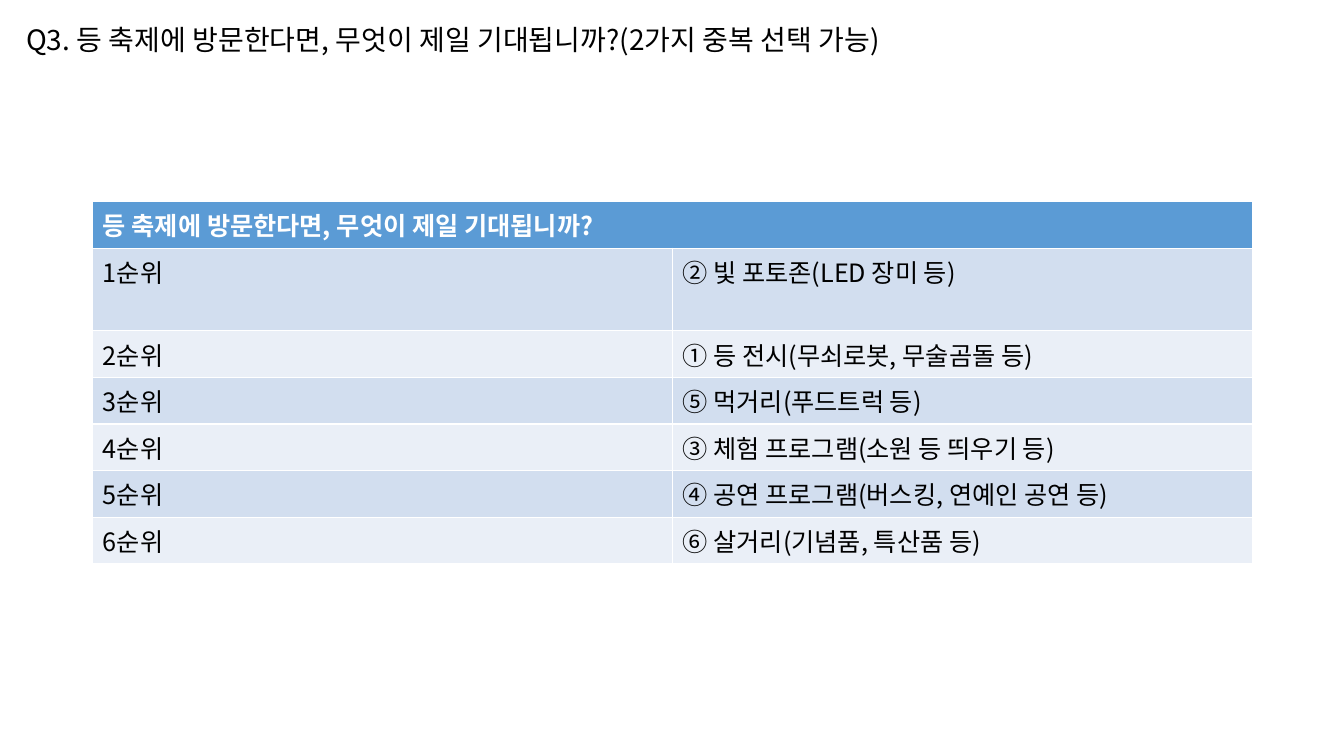
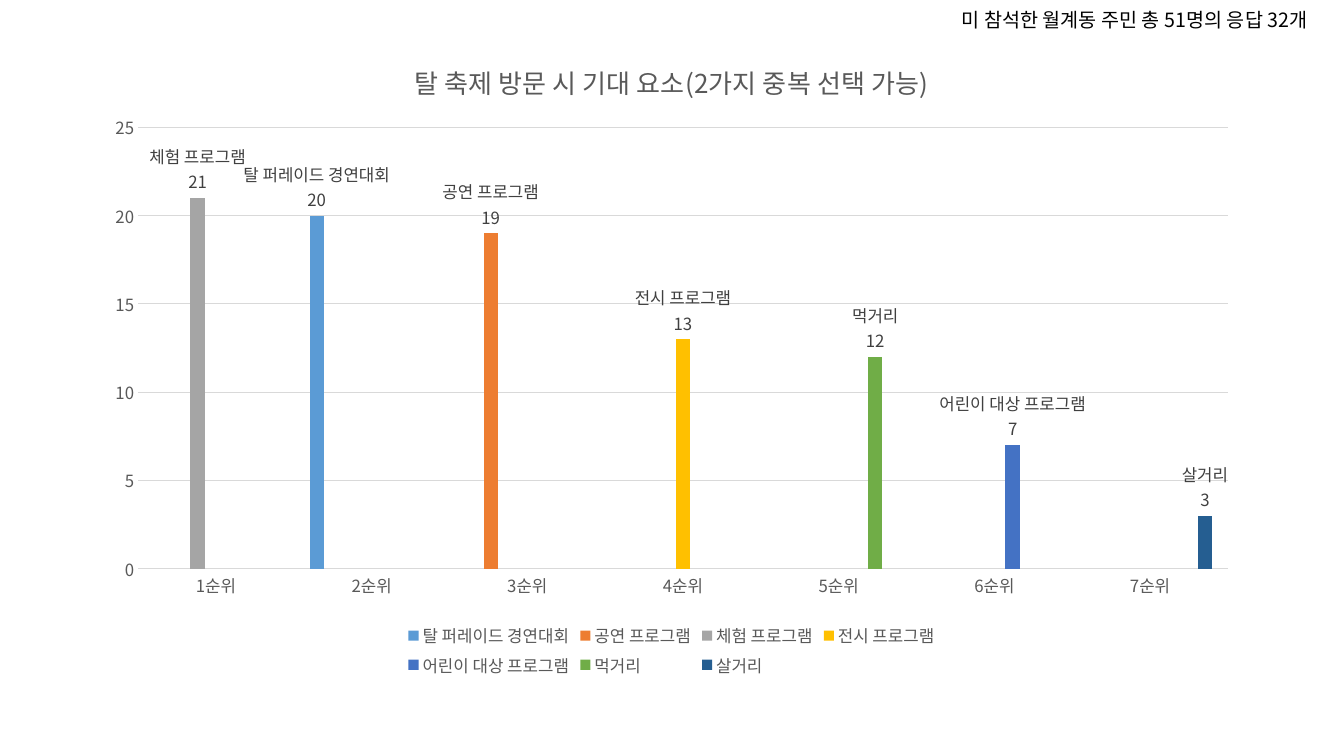
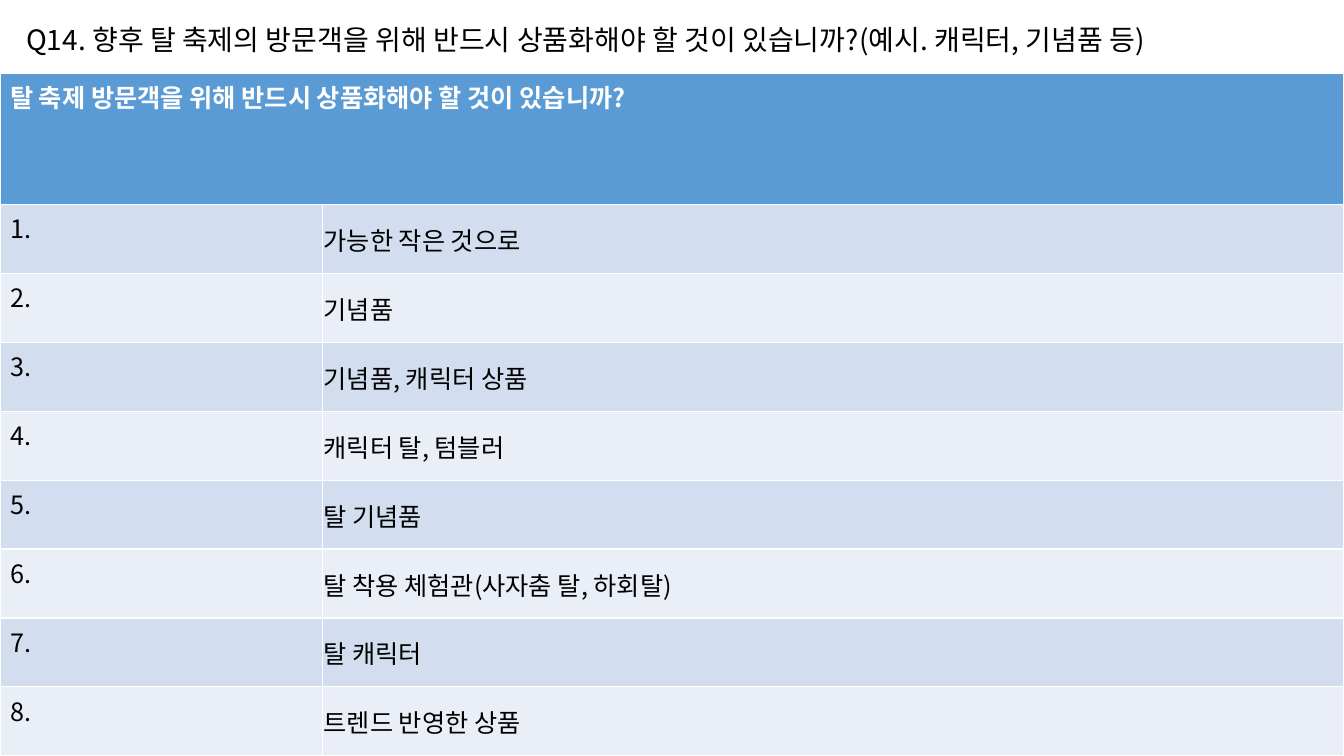
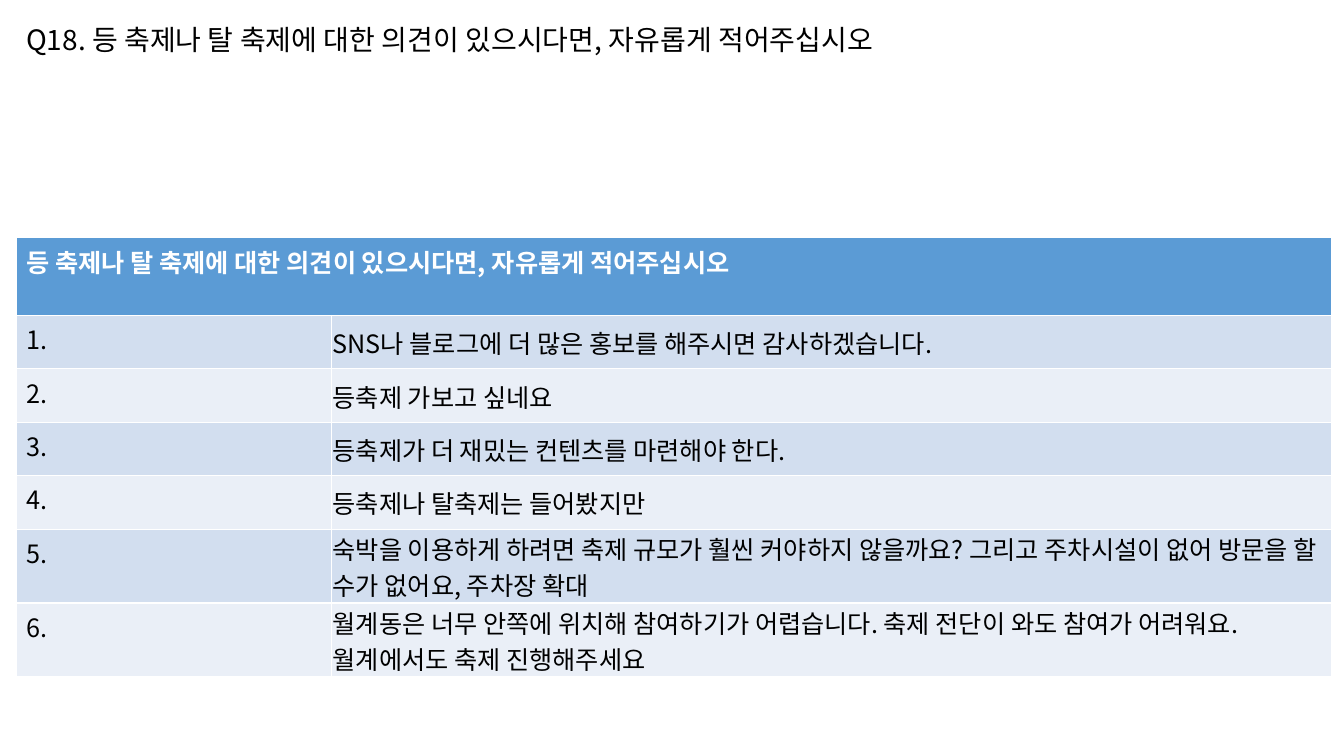
from lxml.etree import SubElement
from pptx import Presentation
from pptx.chart.data import CategoryChartData
from pptx.dml.color import RGBColor
from pptx.enum.chart import XL_CHART_TYPE as ChartType
from pptx.enum.chart import XL_LABEL_POSITION as LabelPos
from pptx.enum.chart import XL_LEGEND_POSITION as LegendPos
from pptx.enum.chart import XL_TICK_MARK as TickMark
from pptx.enum.text import MSO_ANCHOR as Anchor
from pptx.enum.text import MSO_AUTO_SIZE as AutoSize
from pptx.enum.text import PP_ALIGN as Align
from pptx.oxml import parse_xml
from pptx.oxml.ns import nsdecls, qn
from pptx.util import Inches, Pt

# Shared look
FONT = "Noto Sans CJK KR"
BLACK, WHITE = "000000", "FFFFFF"
HEADER_FILL, BANDS = "5B9BD5", ("D2DEEF", "EAEFF7")
AXIS_TEXT, LABEL_TEXT, GRID = "595959", "404040", "D9D9D9"
rgb = RGBColor.from_string

prs = Presentation()
prs.slide_width, prs.slide_height = Inches(13.33), Inches(7.5)

# Question line: one position for every slide that has it
question_layout, blank_layout = prs.slide_layouts[5], prs.slide_layouts[6]
question_place = question_layout.placeholders[0]
question_place.left, question_place.top = Inches(0.16), Inches(0.17)
question_place.width, question_place.height = Inches(12.59), Inches(0.5)


def style(font, size, color, bold=False):
    font.size, font.bold = Pt(size), bold
    font.color.rgb = rgb(color)
    font.name = FONT
    SubElement(font._rPr, qn("a:ea")).set("typeface", FONT)


def add_question_slide(question, heading, answers, place, columns, heights, tight=True):
    """A question with a two-column table; tight answers are centred without margins."""
    slide = prs.slides.add_slide(question_layout)
    slide.shapes.title.text = question
    frame = slide.shapes.title.text_frame
    frame.auto_size, frame.vertical_anchor = AutoSize.NONE, Anchor.TOP
    frame.paragraphs[0].alignment = Align.LEFT
    style(frame.paragraphs[0].runs[0].font, 20, BLACK)

    table = slide.shapes.add_table(
        len(heights), 2, Inches(place[0]), Inches(place[1]),
        Inches(sum(columns)), Inches(sum(heights))).table
    for column, width in zip(table.columns, columns):
        column.width = Inches(width)
    for row, height in zip(table.rows, heights):
        row.height = Inches(height)

    table.cell(0, 0).merge(table.cell(0, 1))
    for r, texts in enumerate([(heading,)] + answers):
        for c, text in enumerate(texts):
            cell = table.cell(r, c)
            cell.text = text
            cell.fill.solid()
            cell.fill.fore_color.rgb = rgb(BANDS[(r - 1) % 2] if r else HEADER_FILL)
            style(cell.text_frame.paragraphs[0].runs[0].font, 18,
                  BLACK if r else WHITE, bold=r == 0)
            if tight and c == 1:
                cell.vertical_anchor = Anchor.MIDDLE
                cell.margin_left = cell.margin_right = cell.margin_top = Inches(0.01)
                cell.margin_bottom = 0


# Slide 1: lantern festival expectations
expectations = [
    "② 빛 포토존(LED 장미 등)",
    "① 등 전시(무쇠로봇, 무술곰돌 등)",
    "⑤ 먹거리(푸드트럭 등)",
    "③ 체험 프로그램(소원 등 띄우기 등)",
    "④ 공연 프로그램(버스킹, 연예인 공연 등)",
    "⑥ 살거리(기념품, 특산품 등)",
]
add_question_slide(
    "Q3. 등 축제에 방문한다면, 무엇이 제일 기대됩니까?(2가지 중복 선택 가능)",
    "등 축제에 방문한다면, 무엇이 제일 기대됩니까?",
    [(f"{rank}순위", text) for rank, text in enumerate(expectations, 1)],
    (0.92, 2), (5.75, 5.75), [0.46, 0.82] + [0.46] * 5, tight=False)

# Slide 2: mask festival expectations, each programme at its rank
programmes = [
    ("탈 퍼레이드 경연대회", 2, 20, "5B9BD5"),
    ("공연 프로그램", 3, 19, "ED7D31"),
    ("체험 프로그램", 1, 21, "A5A5A5"),
    ("전시 프로그램", 4, 13, "FFC000"),
    ("어린이 대상 프로그램", 6, 7, "4472C4"),
    ("먹거리", 5, 12, "70AD47"),
    ("살거리", 7, 3, "255E91"),
]
ranks = range(1, 8)
votes = CategoryChartData()
votes.categories = [f"{rank}순위" for rank in ranks]
for name, place, count, color in programmes:
    votes.add_series(name, [count if rank == place else None for rank in ranks])

slide = prs.slides.add_slide(blank_layout)
chart = slide.shapes.add_chart(
    ChartType.COLUMN_CLUSTERED, Inches(0.91), Inches(0.37),
    Inches(11.5), Inches(6.39), votes).chart
style(chart.font, 10, BLACK)
chart.has_title = True
chart.chart_title.text_frame.text = "탈 축제 방문 시 기대 요소(2가지 중복 선택 가능)"
style(chart.chart_title.text_frame.paragraphs[0].runs[0].font, 18.6, AXIS_TEXT)
chart.has_legend = True
chart.legend.position = LegendPos.BOTTOM
chart.legend.include_in_layout = False
style(chart.legend.font, 12, AXIS_TEXT)

# Axes
for axis in (chart.category_axis, chart.value_axis):
    axis.major_tick_mark = axis.minor_tick_mark = TickMark.NONE
    style(axis.tick_labels.font, 12, AXIS_TEXT)
counts = chart.value_axis
counts.minimum_scale, counts.maximum_scale, counts.major_unit = 0, 25, 5
counts.format.line.fill.background()
for line in (chart.category_axis.format.line, counts.major_gridlines.format.line):
    line.color.rgb = rgb(GRID)
    line.width = Pt(0.75)

# Columns and their labels
plot = chart.plots[0]
plot.gap_width, plot.overlap, plot.vary_by_categories = 219, -27, False
for series, (name, place, count, color) in zip(plot.series, programmes):
    series.format.fill.solid()
    series.format.fill.fore_color.rgb = rgb(color)
    labels = series.data_labels
    labels.show_value = labels.show_series_name = True
    labels.position = LabelPos.OUTSIDE_END
    style(labels.font, 12, LABEL_TEXT)
    labels._element.find(qn("c:showBubbleSize")).addnext(
        parse_xml(f"<c:separator {nsdecls('c')}>\n</c:separator>"))

# Plot area inside the chart
plot_area = chart._chartSpace.chart.plotArea
for old_layout in plot_area.findall(qn("c:layout")):
    plot_area.remove(old_layout)
layout = parse_xml(f"<c:layout {nsdecls('c')}><c:manualLayout/></c:layout>")
for tag, value in (("layoutTarget", "inner"), ("xMode", "edge"), ("yMode", "edge"),
                   ("x", "0.04"), ("y", "0.14"), ("w", "0.94"), ("h", "0.685")):
    SubElement(layout[0], qn(f"c:{tag}")).set("val", value)
plot_area.insert(0, layout)

# Respondents
respondents = slide.shapes.add_textbox(
    Inches(9.44), Inches(0.03), Inches(3.89), Inches(0.34)).text_frame
respondents.word_wrap = False
respondents.text = "미 참석한 월계동 주민 총 51명의 응답 32개"
style(respondents.paragraphs[0].runs[0].font, 14, BLACK)

# Slide 3: goods for mask festival visitors
goods = [
    "가능한 작은 것으로", "기념품", "기념품, 캐릭터 상품", "캐릭터 탈, 텀블러",
    "탈 기념품", "탈 착용 체험관(사자춤 탈, 하회탈)", "탈 캐릭터", "트렌드 반영한 상품",
]
add_question_slide(
    "Q14. 향후 탈 축제의 방문객을 위해 반드시 상품화해야 할 것이 있습니까?(예시. 캐릭터, 기념품 등)",
    "탈 축제 방문객을 위해 반드시 상품화해야 할 것이 있습니까?",
    [(f"{number}.", text) for number, text in enumerate(goods, 1)],
    (0, 0.73), (3.2, 10.13), [1.3] + [(6.77 - 1.3) / len(goods)] * len(goods))

# Slide 4: free opinions
opinions = [
    "SNS나 블로그에 더 많은 홍보를 해주시면 감사하겠습니다.",
    "등축제 가보고 싶네요",
    "등축제가 더 재밌는 컨텐츠를 마련해야 한다.",
    "등축제나 탈축제는 들어봤지만",
    "숙박을 이용하게 하려면 축제 규모가 훨씬 커야하지 않을까요? "
    "그리고 주차시설이 없어 방문을 할 수가 없어요, 주차장 확대",
    "월계동은 너무 안쪽에 위치해 참여하기가 어렵습니다. "
    "축제 전단이 와도 참여가 어려워요. 월계에서도 축제 진행해주세요",
]
add_question_slide(
    "Q18. 등 축제나 탈 축제에 대한 의견이 있으시다면, 자유롭게 적어주십시오",
    "등 축제나 탈 축제에 대한 의견이 있으시다면, 자유롭게 적어주십시오",
    [(f"{number}.", text) for number, text in enumerate(opinions, 1)],
    (0.16, 2.36), (3.13, 9.92), [0.77] + [0.53] * 4 + [0.73] * 2)

prs.save("out.pptx")
